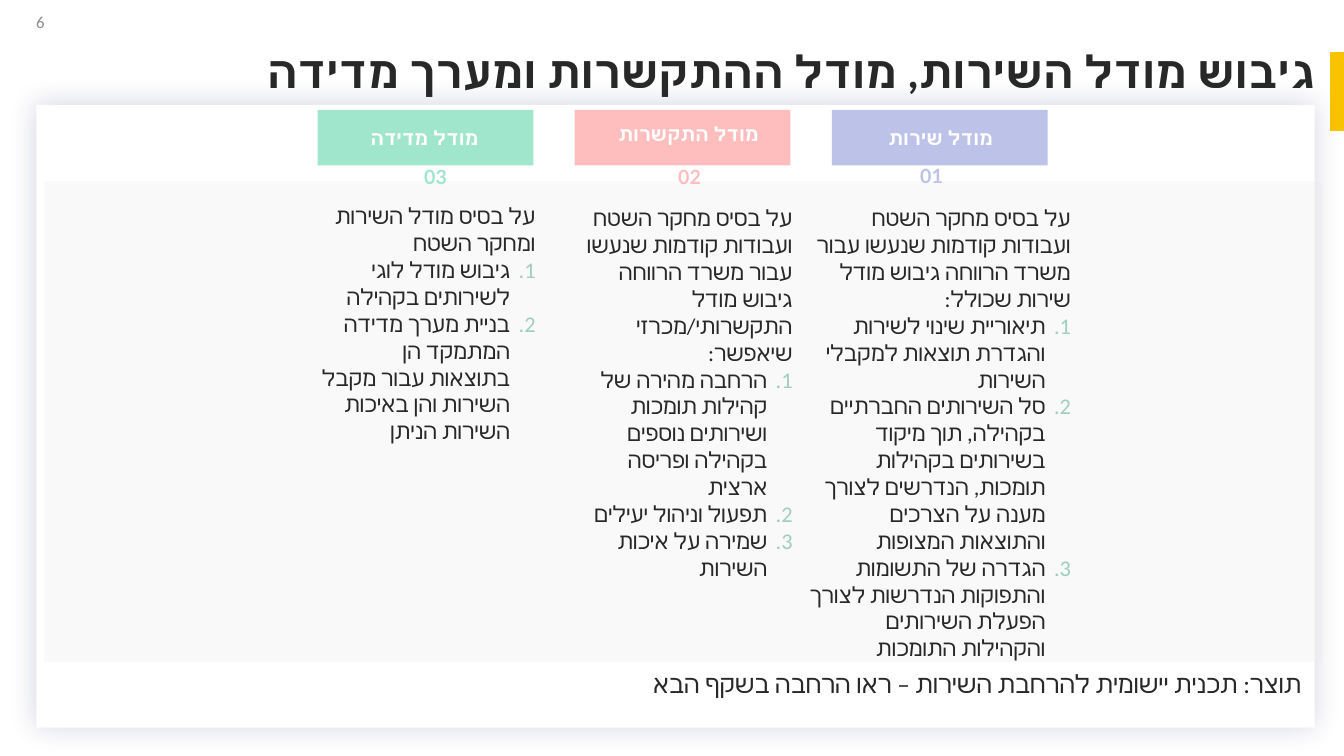
from lxml.etree import SubElement
from pptx import Presentation
from pptx.dml.color import RGBColor
from pptx.enum.shapes import MSO_CONNECTOR, MSO_SHAPE
from pptx.enum.text import MSO_ANCHOR, PP_ALIGN
from pptx.oxml.ns import qn
from pptx.util import Pt

PX = 9144
COLORS = {
    "ink": "282828", "gray": "8C8C8C", "white": "FFFFFF", "gold": "FAC300",
    "lilac": "BDC2E9", "pink": "FEBEBE", "mint": "A0E6CC",
    "panel": "EEEEEE", "count": "9FCEC0", "shade": "242C6D",
}
PITCH = 255
COLUMNS = [
    {"title": "מודל מדידה", "num": "03", "color": "mint",
     "label": (0, 11), "mark": (61, 53), "body": (-10, 87, 236, 244),
     "intro": "על בסיס מודל השירות ומחקר השטח",
     "steps": [
         "גיבוש מודל לוגי לשירותים בקהילה",
         "בניית מערך מדידה המתמקד הן בתוצאות עבור מקבל השירות והן באיכות השירות הניתן",
     ]},
    {"title": "מודל התקשרות", "num": "02", "color": "pink",
     "label": (7, 7), "mark": (58, 53), "body": (-10, 89, 236, 352),
     "intro": "על בסיס מחקר השטח ועבודות קודמות שנעשו עבור משרד הרווחה גיבוש מודל התקשרותי/מכרזי שיאפשר:",
     "steps": [
         "הרחבה מהירה של קהילות תומכות ושירותים נוספים בקהילה ופריסה ארצית",
         "תפעול וניהול יעילים",
         "שמירה על איכות השירות",
     ]},
    {"title": "מודל שירות", "num": "01", "color": "lilac",
     "label": (2, 11), "mark": (43, 52), "body": (-33, 89, 280, 459),
     "intro": "על בסיס מחקר השטח ועבודות קודמות שנעשו עבור משרד הרווחה גיבוש מודל שירות שכולל:",
     "steps": [
         "תיאוריית שינוי לשירות והגדרת תוצאות למקבלי השירות",
         "סל השירותים החברתיים בקהילה, תוך מיקוד בשירותים בקהילות תומכות, הנדרשים לצורך מענה על הצרכים והתוצאות המצופות",
         "הגדרה של התשומות והתפוקות הנדרשות לצורך הפעלת השירותים והקהילות התומכות",
     ]},
]


def emu(*sizes):
    return [size * PX for size in sizes]


def tint(name):
    return RGBColor.from_string(COLORS[name])


def add_rect(slide, box, color):
    rect = slide.shapes.add_shape(MSO_SHAPE.RECTANGLE, *emu(*box))
    rect.shadow.inherit = False
    rect.fill.solid()
    rect.fill.fore_color.rgb = tint(color)
    rect.line.fill.background()
    return rect


def add_frame(slide, box, anchor=MSO_ANCHOR.TOP):
    frame = slide.shapes.add_textbox(*emu(*box)).text_frame
    frame.word_wrap = True
    frame.vertical_anchor = anchor
    return frame


def add_run(para, text, size, color, font="Calibri", bold=False,
            align=PP_ALIGN.RIGHT, rtl=True):
    para.alignment = align
    if rtl:
        para._p.get_or_add_pPr().set("rtl", "1")
    run = para.add_run()
    run.text = text
    run.font.size = Pt(size)
    run.font.bold = bold
    run.font.name = font
    run.font.color.rgb = tint(color)
    SubElement(run._r.get_or_add_rPr(), qn("a:cs"), typeface=font)


def add_count(para):
    props = para._p.get_or_add_pPr()
    props.set("marL", str(25 * PX))
    props.set("marR", "0")
    props.set("indent", str(-25 * PX))
    hue = SubElement(props, qn("a:buClr"))
    SubElement(hue, qn("a:srgbClr"), val=COLORS["count"])
    SubElement(props, qn("a:buFont"), typeface="+mj-lt")
    SubElement(props, qn("a:buAutoNum"), type="arabicPeriod")


def add_head(slide, box):
    x, y, w, h = box
    page = add_frame(slide, (x, y, 54, 40))
    add_run(page.paragraphs[0], "6", 12, "gray")

    bar = slide.shapes.add_connector(
        MSO_CONNECTOR.STRAIGHT, *emu(x + w - 7, y + 45, x + w - 7, y + 123))
    bar.line.color.rgb = tint("gold")
    bar.line.width = Pt(10)
    SubElement(bar.element.spPr, qn("a:effectLst"))

    title = add_frame(slide, (x + 51, y + 36, 1254, h - 36), MSO_ANCHOR.MIDDLE)
    title.margin_left = title.margin_right = 0
    title.margin_top = title.margin_bottom = 0
    title.paragraphs[0].line_spacing = 0.9
    add_run(title.paragraphs[0], "גיבוש מודל השירות, מודל ההתקשרות ומערך מדידה",
            32, "ink", bold=True)


def add_card(slide, box):
    x, y, w, h = box
    card = add_rect(slide, box, "white")
    glow = SubElement(card.element.spPr.find(qn("a:effectLst")), qn("a:outerShdw"),
                      blurRad=str(Pt(20)), dist="0", dir="0",
                      algn="ctr", rotWithShape="0")
    hue = SubElement(glow, qn("a:srgbClr"), val=COLORS["shade"])
    SubElement(hue, qn("a:alpha"), val="20000")

    panel = add_rect(slide, (x + 8, y + 76, w, 477), "panel")
    hue = panel.element.spPr.find(qn("a:solidFill")).find(qn("a:srgbClr"))
    SubElement(hue, qn("a:alpha"), val="30000")

    for place, column in enumerate(COLUMNS):
        add_column(slide, (x + 279 + place * PITCH, y + 5, 214, 55), column)

    note = add_frame(slide, (x + 18, y + 554, w - 21, 40))
    add_run(note.paragraphs[0], "תוצר: תכנית יישומית להרחבת השירות – ראו הרחבה בשקף הבא",
            18, "ink")


def add_column(slide, box, column):
    x, y, w, h = box
    add_rect(slide, box, column["color"])

    dx, dy = column["label"]
    label = add_frame(slide, (x + dx, y + dy, w - 2, 33), MSO_ANCHOR.MIDDLE)
    add_run(label.paragraphs[0], column["title"], 14, "white", "Lato", True,
            PP_ALIGN.CENTER)

    dx, dy = column["mark"]
    mark = add_frame(slide, (x + dx, y + dy, 112, 27), MSO_ANCHOR.MIDDLE)
    add_run(mark.paragraphs[0], column["num"], 14, column["color"], "Lato", True,
            PP_ALIGN.CENTER, False)

    dx, dy, wide, high = column["body"]
    body = add_frame(slide, (x + dx, y + dy, wide, high))
    add_run(body.paragraphs[0], column["intro"], 16, "ink")
    for step in column["steps"]:
        para = body.add_paragraph()
        add_count(para)
        add_run(para, step, 16, "ink")


def main():
    deck = Presentation()
    deck.slide_width, deck.slide_height = emu(1333, 750)
    slide = deck.slides.add_slide(deck.slide_layouts[6])
    add_head(slide, (0, 7, 1333, 97))
    add_card(slide, (36, 104, 1268, 618))
    deck.save("out.pptx")


if __name__ == "__main__":
    main()
